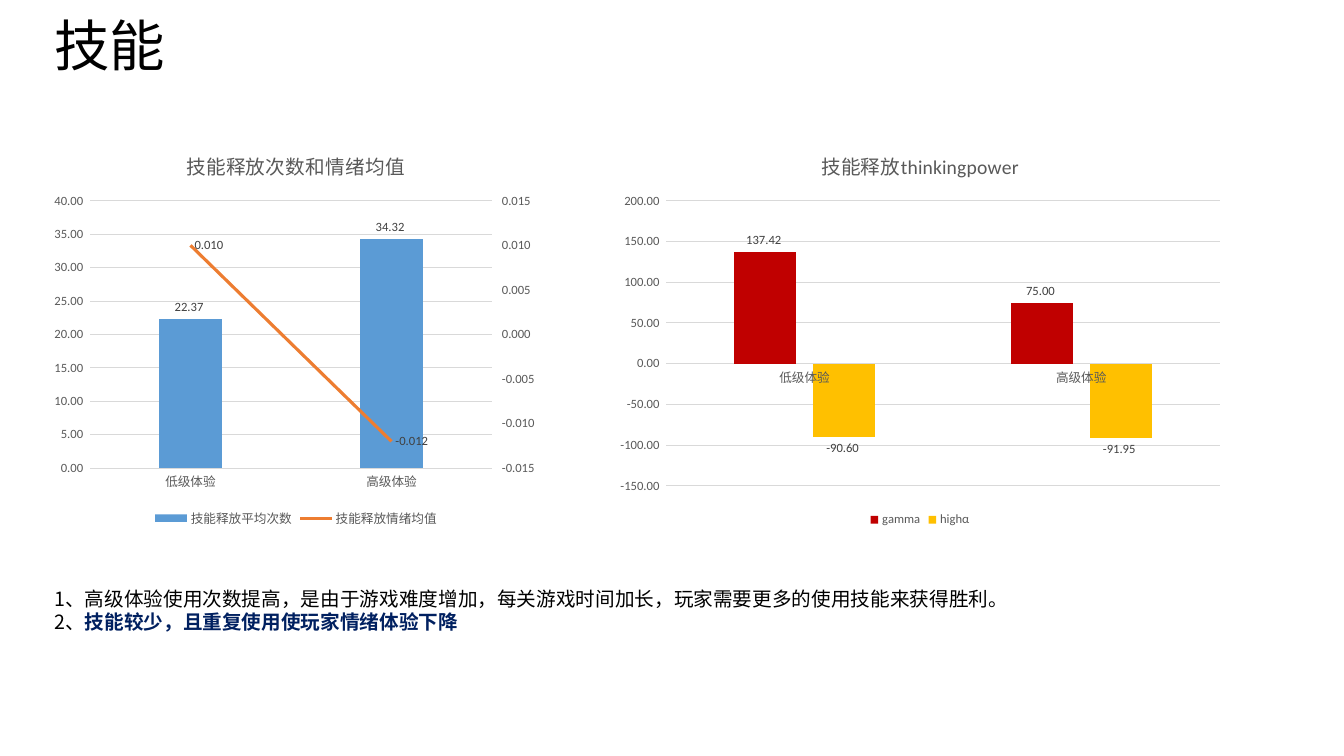
from lxml import etree
from pptx import Presentation
from pptx.chart.data import CategoryChartData
from pptx.dml.color import RGBColor
from pptx.enum.chart import XL_CHART_TYPE as ChartType, XL_LABEL_POSITION as LabelPosition
from pptx.enum.chart import XL_LEGEND_POSITION as LegendPosition, XL_MARKER_STYLE as Marker
from pptx.enum.chart import XL_TICK_MARK as TickMark
from pptx.enum.text import MSO_ANCHOR as Anchor, MSO_AUTO_SIZE as AutoSize, PP_ALIGN as Align
from pptx.oxml import parse_xml
from pptx.oxml.ns import nsdecls, qn
from pptx.util import Inches, Pt

BLACK = RGBColor(0x00, 0x00, 0x00)
NAVY = RGBColor(0x00, 0x20, 0x60)
GRAY = RGBColor(0x59, 0x59, 0x59)
DARK = RGBColor(0x40, 0x40, 0x40)
GRID = RGBColor(0xD9, 0xD9, 0xD9)
RED = RGBColor(0xC0, 0x00, 0x00)
GOLD = RGBColor(0xFF, 0xC0, 0x00)
BLUE = RGBColor(0x5B, 0x9B, 0xD5)
ORANGE = RGBColor(0xED, 0x7D, 0x31)
CJK, LATIN = "Noto Sans CJK SC", "Calibri"

LEFT, CHART_TOP, CHART_HEIGHT = 0.44, 1.31, 3.96
TITLE = "技能"
CATEGORIES = ["低级体验", "高级体验"]
TWO_PLACES, THREE_PLACES = "0.00_ ", "0.000_ "
CHARTS = [
    {"title": "技能释放thinkingpower", "left": 6.03, "width": 6.19,
     "scale": (-150, 200, 50), "right_scale": None,
     "series": [("gamma", (137.42, 75), RED, TWO_PLACES),
                ("highα", (-90.6, -91.95), GOLD, TWO_PLACES)]},
    {"title": "技能释放次数和情绪均值", "left": LEFT, "width": 4.99,
     "scale": (0, 40, 5), "right_scale": (-0.015, 0.015, 0.005),
     "series": [("技能释放平均次数", (22.37, 34.32), BLUE, TWO_PLACES),
                ("技能释放情绪均值", (0.01, -0.012), ORANGE, THREE_PLACES)]},
]
NOTES = [
    [("1、高级体验使用次数提高\uff0c是由于游戏难度增加\uff0c每关游戏时间加长\uff0c"
      "玩家需要更多的使用技能来获得胜利。", BLACK, False)],
    [("2、", BLACK, False), ("技能较少\uff0c且重复使用使玩家情绪体验下降", NAVY, True)],
]


def style_font(font, size, color, name=LATIN, bold=False):
    font.size, font.name, font.bold = Pt(size), name, bold
    font.color.rgb = color


def style_span(span, size, color, bold=False, name=CJK):
    style_font(span.font, size, color, name, bold)
    latin = span.font._element.find(qn("a:latin"))
    latin.addnext(etree.Element(qn("a:ea"), typeface=CJK))


def move_last_series_to_right_axis(chart, scale):
    low, high, step = scale
    bars = chart.plots[0]._element
    series = bars.findall(qn("c:ser"))[-1]
    for flag in series.findall(qn("c:invertIfNegative")):
        series.remove(flag)
    lines = parse_xml(
        f'<c:lineChart {nsdecls("c")}><c:grouping val="standard"/><c:varyColors val="0"/>'
        '<c:marker val="1"/><c:axId val="501"/><c:axId val="502"/></c:lineChart>')
    lines.insert(2, series)
    bars.addnext(lines)
    right_axes = parse_xml(
        f'<c:plotArea {nsdecls("c", "a")}>'
        '<c:catAx><c:axId val="501"/><c:scaling><c:orientation val="minMax"/></c:scaling>'
        '<c:delete val="1"/><c:axPos val="b"/><c:crossAx val="502"/></c:catAx>'
        '<c:valAx><c:axId val="502"/><c:scaling><c:orientation val="minMax"/>'
        f'<c:max val="{high}"/><c:min val="{low}"/></c:scaling><c:delete val="0"/>'
        f'<c:axPos val="r"/><c:numFmt formatCode="{THREE_PLACES}" sourceLinked="0"/>'
        '<c:majorTickMark val="out"/><c:minorTickMark val="none"/><c:tickLblPos val="nextTo"/>'
        '<c:spPr><a:ln><a:noFill/></a:ln></c:spPr>'
        '<c:txPr><a:bodyPr/><a:p><a:pPr><a:defRPr sz="900"><a:solidFill>'
        f'<a:srgbClr val="{GRAY}"/></a:solidFill><a:latin typeface="{LATIN}"/>'
        '</a:defRPr></a:pPr></a:p></c:txPr>'
        f'<c:crossAx val="501"/><c:crosses val="max"/><c:majorUnit val="{step}"/></c:valAx>'
        '</c:plotArea>')
    left_axis = chart.value_axis._element
    for axis in reversed(list(right_axes)):
        left_axis.addnext(axis)


def style_axes(chart, scale):
    across, up = chart.category_axis, chart.value_axis
    for axis in (across, up):
        axis.major_tick_mark = axis.minor_tick_mark = TickMark.NONE
        style_font(axis.tick_labels.font, 9, GRAY)
    up.minimum_scale, up.maximum_scale, up.major_unit = scale
    up.tick_labels.number_format = TWO_PLACES
    up.tick_labels.number_format_is_linked = False
    up.format.line.fill.background()
    for line in (across.format.line, up.major_gridlines.format.line):
        line.color.rgb, line.width = GRID, Pt(0.75)


def style_series(series, color, number_format, is_line):
    labels = series.data_labels
    labels.show_value = True
    labels.number_format, labels.number_format_is_linked = number_format, False
    style_font(labels.font, 9, DARK)
    if is_line:
        labels.position = LabelPosition.RIGHT
        series.format.line.color.rgb, series.format.line.width = color, Pt(2.25)
        series.marker.style, series.smooth = Marker.NONE, False
    else:
        labels.position = LabelPosition.OUTSIDE_END
        series.format.fill.solid()
        series.format.fill.fore_color.rgb = color
        series.invert_if_negative = False


def add_skill_chart(page, item):
    data = CategoryChartData()
    data.categories = CATEGORIES
    for name, values, _, number_format in item["series"]:
        data.add_series(name, values, number_format)
    chart = page.shapes.add_chart(
        ChartType.COLUMN_CLUSTERED, Inches(item["left"]), Inches(CHART_TOP),
        Inches(item["width"]), Inches(CHART_HEIGHT), data).chart
    style_font(chart.font, 10, BLACK)
    bars = chart.plots[0]
    bars.gap_width, bars.overlap, bars.vary_by_categories = 219, -27, False
    style_axes(chart, item["scale"])
    if item["right_scale"]:
        move_last_series_to_right_axis(chart, item["right_scale"])
    chart.has_title = True
    para = chart.chart_title.text_frame.paragraphs[0]
    para.text = item["title"]
    style_span(para.runs[0], 14, GRAY, name=LATIN)
    chart.has_legend = True
    chart.legend.position, chart.legend.include_in_layout = LegendPosition.BOTTOM, False
    style_font(chart.legend.font, 9, GRAY)
    drawn = [(series, index > 0)
             for index, plot in enumerate(chart.plots) for series in plot.series]
    for (series, is_line), (_, _, color, number_format) in zip(drawn, item["series"]):
        style_series(series, color, number_format, is_line)


deck = Presentation()
deck.slide_width, deck.slide_height = Inches(13.33), Inches(7.5)
page = deck.slides.add_slide(deck.slide_layouts[5])

title = page.shapes.title
title.left, title.top, title.width, title.height = map(Inches, (LEFT, 0.25, 7.04, 0.47))
title.text_frame.text = TITLE
title.text_frame.vertical_anchor = Anchor.MIDDLE
title.text_frame.auto_size = AutoSize.NONE
heading = title.text_frame.paragraphs[0]
heading.alignment, heading.line_spacing = Align.LEFT, 0.9
style_span(heading.runs[0], 39.6, BLACK)

for item in CHARTS:
    add_skill_chart(page, item)

box = page.shapes.add_textbox(*map(Inches, (LEFT, 5.77, 11.71, 0.57)))
frame = box.text_frame
frame.word_wrap, frame.auto_size = True, AutoSize.SHAPE_TO_FIT_TEXT
for index, parts in enumerate(NOTES):
    para = frame.add_paragraph() if index else frame.paragraphs[0]
    for text, color, bold in parts:
        span = para.add_run()
        span.text = text
        style_span(span, 14, color, bold)

deck.save("out.pptx")
